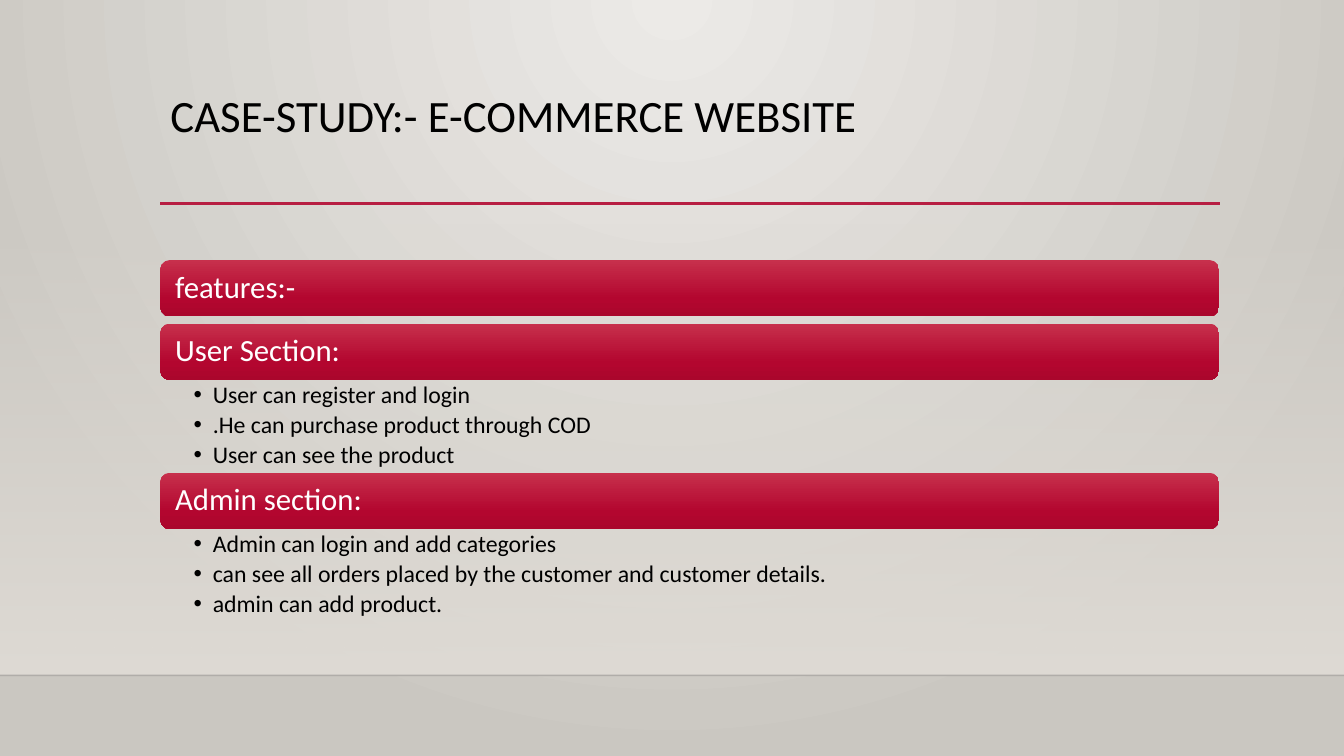
"""Build the case-study slide with section bars and bulleted lists."""
from lxml import etree
from pptx import Presentation
from pptx.dml.color import RGBColor
from pptx.enum.shapes import MSO_CONNECTOR, MSO_SHAPE
from pptx.enum.text import MSO_ANCHOR, MSO_AUTO_SIZE, PP_ALIGN
from pptx.oxml.ns import qn
from pptx.util import Inches, Pt

STRAIGHT = MSO_CONNECTOR.STRAIGHT
RECT, ROUND = MSO_SHAPE.RECTANGLE, MSO_SHAPE.ROUNDED_RECTANGLE
TOP, MIDDLE = MSO_ANCHOR.TOP, MSO_ANCHOR.MIDDLE
LEFT = PP_ALIGN.LEFT
NO_FIT = MSO_AUTO_SIZE.NONE

FONT = "Calibri"
BLACK, WHITE = "000000", "FFFFFF"
BACKGROUND = [(0, "ECEAE7", 100), (100, "CAC7C1", 100)]
FLOOR = [(0, "DFDBD5", 0), (100, "DFDBD5", 100)]
BAR = [(0, "C7304C", 100), (69, "B3062F", 100), (100, "AA062C", 100)]
X, W = 1.59, 10.5
BAR_H, LIST_H, GAP = 0.56, 0.92, 0.07
SECTIONS = [
    ("features:-", []),
    ("User Section:", [
        "User can register and login",
        ".He can purchase product through COD",
        "User can see the product",
    ]),
    ("Admin section:", [
        "Admin can login and add categories",
        "can see all orders placed by the customer and customer details.",
        "admin can add product.",
    ]),
]


def rgb(color):
    return RGBColor.from_string(color)


def sub(parent, tag, **attrs):
    return etree.SubElement(parent, qn(tag), {k: str(v) for k, v in attrs.items()})


def add_alpha(color, percent):
    if percent < 100:
        sub(color, "a:alpha", val=percent * 1000)


def set_gradient(fill, element, stops, radial=False):
    fill.gradient()
    grad = element.find(".//" + qn("a:gradFill"))
    for child in list(grad):
        grad.remove(child)
    stop_list = sub(grad, "a:gsLst")
    for pos, color, alpha in stops:
        stop = sub(stop_list, "a:gs", pos=pos * 1000)
        add_alpha(sub(stop, "a:srgbClr", val=color), alpha)
    if radial:
        circle = sub(grad, "a:path", path="circle")
        sub(circle, "a:fillToRect", l=43000, t=0, r=43000, b=100000)
    else:
        sub(grad, "a:lin", ang=5400000, scaled=0)


def place(sp, x, y, w, h):
    sp.left, sp.top, sp.width, sp.height = (Inches(v) for v in (x, y, w, h))


def set_text(sp, lines, size, color, anchor, insets, after=0):
    tf = sp.text_frame
    left, top, right, bottom = (Inches(v) for v in insets)
    frame = dict(word_wrap=True, auto_size=NO_FIT, vertical_anchor=anchor,
                 margin_left=left, margin_top=top,
                 margin_right=right, margin_bottom=bottom)
    for name, value in frame.items():
        setattr(tf, name, value)
    tf.text = "\n".join(lines)
    for p in tf.paragraphs:
        para = dict(alignment=LEFT, line_spacing=0.9,
                    space_before=Pt(0), space_after=Pt(after))
        for name, value in para.items():
            setattr(p, name, value)
        font = p.runs[0].font
        for name, value in dict(name=FONT, size=Pt(size), bold=False).items():
            setattr(font, name, value)
        font.color.rgb = rgb(color)


def add_panel(slide, kind, x, y, w, h, stops):
    sp = slide.shapes.add_shape(kind, *(Inches(v) for v in (x, y, w, h)))
    sp.shadow.inherit = False
    sp.line.fill.background()
    set_gradient(sp.fill, sp.element, stops)
    return sp


def add_rule(slide, x1, x2, y, color, width, alpha=100):
    line = slide.shapes.add_connector(
        STRAIGHT, *(Inches(v) for v in (x1, y, x2, y)))
    line.line.color.rgb = rgb(color)
    line.line.width = Pt(width)
    add_alpha(line.element.find(".//" + qn("a:srgbClr")), alpha)
    sub(line.element.spPr, "a:effectLst")
    return line


def add_bar(slide, y, text):
    sp = add_panel(slide, ROUND, X, y, W, BAR_H, BAR)
    set_text(sp, [text], 22, WHITE, MIDDLE, (0.12, 0.09, 0.12, 0.09))


def fill_list(sp, y, items):
    place(sp, X, y, W, LIST_H)
    set_text(sp, items, 17, BLACK, TOP, (0.33, 0.03, 0.17, 0.03), after=3)
    for p in sp.text_frame.paragraphs:
        p.level = 1
        pPr = p._p.get_or_add_pPr()
        pPr.set("marL", str(Inches(0.19)))
        pPr.set("indent", str(-Inches(0.19)))
        sub(pPr, "a:buFont", typeface="Arial")
        sub(pPr, "a:buChar", char="•")


def main():
    prs = Presentation()
    prs.slide_width, prs.slide_height = Inches(13.33), Inches(7.5)
    slide = prs.slides.add_slide(prs.slide_layouts[3])
    title, *bodies = slide.placeholders
    set_gradient(slide.background.fill, slide.element, BACKGROUND, radial=True)

    floor = add_panel(slide, RECT, 0, 2.21, 13.33, 4.49, FLOOR)
    floor.element.getparent().insert(2, floor.element)
    add_rule(slide, 0, 13.33, 6.7, "000001", 1, 20)
    add_rule(slide, X, 12.1, 2.02, "B71E42", 2.5)

    place(title, X, 0.88, W, 1.15)
    set_text(title, ["CASE-STUDY:- E-COMMERCE WEBSITE"], 32, BLACK, TOP,
             (0.1, 0.05, 0.1, 0.05))

    y = 2.58
    lists = iter(bodies)
    for heading, items in SECTIONS:
        add_bar(slide, y, heading)
        y += BAR_H
        if items:
            fill_list(next(lists), y, items)
            y += LIST_H
        else:
            y += GAP
    prs.save("out.pptx")


main()
